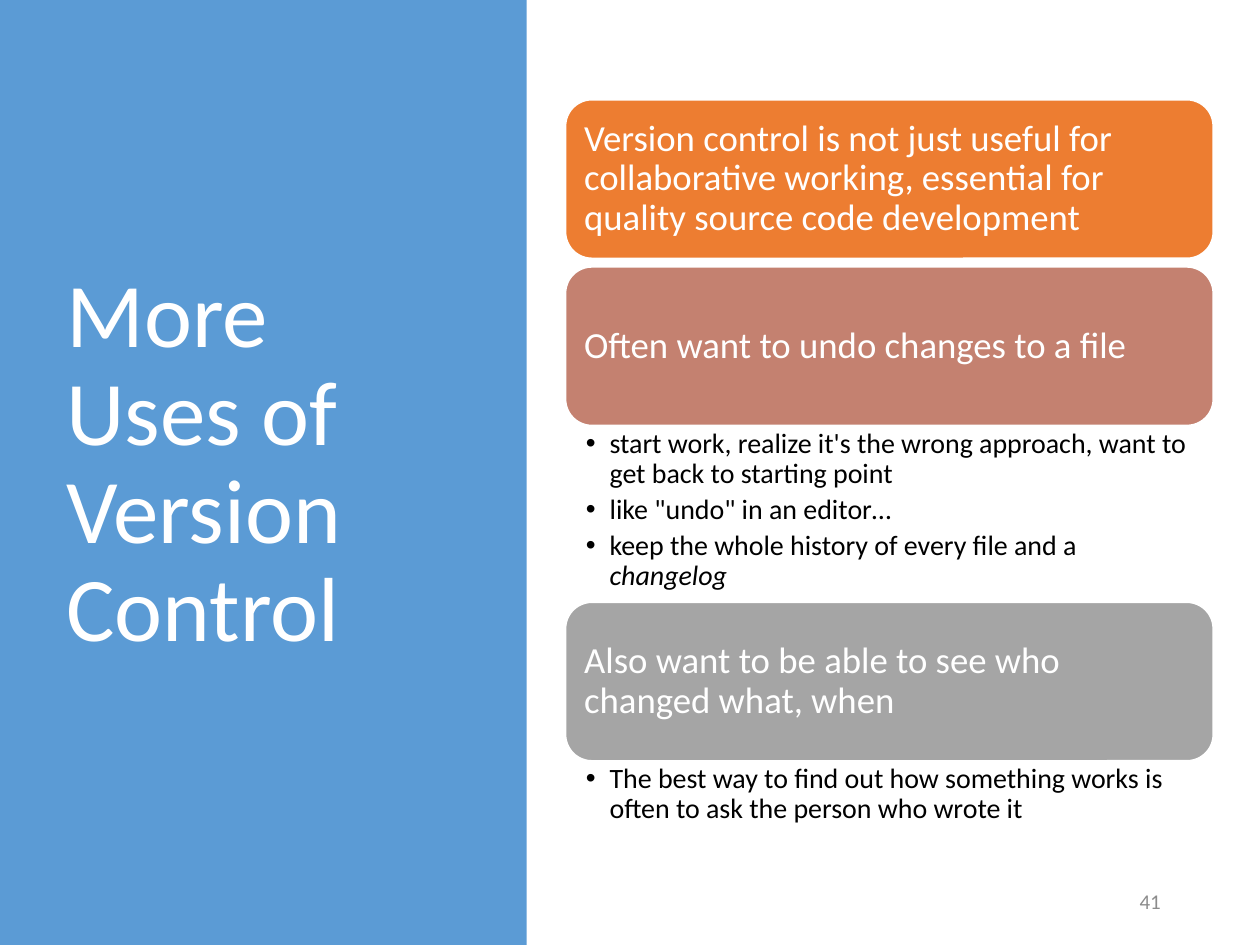
from dataclasses import dataclass

from lxml.etree import SubElement
from pptx import Presentation
from pptx.dml.color import RGBColor as RGB
from pptx.enum.shapes import MSO_SHAPE as SHAPE
from pptx.enum.text import MSO_ANCHOR as ANCHOR, PP_ALIGN as ALIGN
from pptx.oxml.ns import qn
from pptx.util import Cm, Pt


@dataclass(frozen=True)
class Theme:
    """Colours, font and type sizes of the slide."""
    font: str = "Calibri"
    panel: RGB = RGB(0x5B, 0x9B, 0xD5)
    orange: RGB = RGB(0xED, 0x7D, 0x31)
    rose: RGB = RGB(0xC4, 0x81, 0x70)
    grey: RGB = RGB(0xA5, 0xA5, 0xA5)
    white: RGB = RGB(0xFF, 0xFF, 0xFF)
    black: RGB = RGB(0, 0, 0)
    muted: RGB = RGB(0x8C, 0x8C, 0x8C)
    title: float = 52
    card: float = 21
    bullet: float = 16
    number: float = 12


THEME = Theme()
LEFT, WIDTH, CARD_HEIGHT, GAP, FIRST_TOP = 11.4, 13.06, 3.2, 0.17, 2.01
SECTIONS = [
    ("Version control is not just useful for collaborative working, "
     "essential for quality source code development", THEME.orange, [], GAP),
    ("Often want to undo changes to a file", THEME.rose,
     [["start work, realize it's the wrong approach, want to get back to starting point"],
      ['like "undo" in an editor…'],
      ["keep the whole history of every file and a ", "changelog"]], 3.56),
    ("Also want to be able to see who changed what, when", THEME.grey,
     [["The best way to find out how something works is often to ask "
       "the person who wrote it"]], 1.4),
]


def style_run(r, size, color):
    """Set the font, size and colour of a run."""
    r.font.name = THEME.font
    r.font.size = Pt(size)
    r.font.color.rgb = color


def set_text(sp, text, size, color, align=ALIGN.LEFT, spacing=0.9):
    """Write one vertically centred paragraph into a shape."""
    tf = sp.text_frame
    tf.word_wrap = True
    tf.vertical_anchor = ANCHOR.MIDDLE
    tf.text = text
    p = tf.paragraphs[0]
    p.alignment = align
    p.line_spacing = spacing
    style_run(p.runs[0], size, color)


def set_insets(tf, x, y):
    """Set equal horizontal and equal vertical text margins."""
    tf.margin_left = tf.margin_right = Cm(x)
    tf.margin_top = tf.margin_bottom = Cm(y)


def add_block(s, kind, left, top, width, height, fill):
    """Add a filled shape without line or shadow."""
    sp = s.shapes.add_shape(kind, Cm(left), Cm(top), Cm(width), Cm(height))
    sp.shadow.inherit = False
    sp.fill.solid()
    sp.fill.fore_color.rgb = fill
    sp.line.fill.background()
    return sp


def add_label(s, left, top, width, height, *text, **options):
    """Add a text box with one paragraph."""
    sp = s.shapes.add_textbox(Cm(left), Cm(top), Cm(width), Cm(height))
    set_text(sp, *text, **options)


def add_card(s, top, text, fill):
    """Add a rounded card with its statement."""
    sp = add_block(s, SHAPE.ROUNDED_RECTANGLE, LEFT, top, WIDTH, CARD_HEIGHT, fill)
    sp.line.color.rgb = THEME.white
    sp.line.width = Pt(1)
    set_text(sp, text, THEME.card, THEME.white)
    set_insets(sp.text_frame, 0.22, 0.22)


def add_bullets(s, top, height, items):
    """Add a bulleted list whose second runs are italic."""
    sp = s.shapes.add_textbox(Cm(LEFT), Cm(top), Cm(WIDTH), Cm(height))
    tf = sp.text_frame
    tf.word_wrap = True
    set_insets(tf, 0.41, 0.07)
    for i, parts in enumerate(items):
        p = tf.add_paragraph() if i else tf.paragraphs[0]
        p.level = 1
        p.line_spacing = 0.9
        p.space_after = Pt(3.4)
        pPr = p._p.get_or_add_pPr()
        pPr.set("marL", str(Cm(0.48)))
        pPr.set("indent", str(-Cm(0.48)))
        SubElement(pPr, qn("a:buFont"), typeface="Arial")
        SubElement(pPr, qn("a:buChar"), char="•")
        for j, part in enumerate(parts):
            r = p.add_run()
            r.text = part
            style_run(r, THEME.bullet, THEME.black)
            if j:
                r.font.italic = True


def main():
    """Build the slide and save it."""
    prs = Presentation()
    prs.slide_width, prs.slide_height = Cm(25.4), Cm(19.05)
    s = prs.slides.add_slide(prs.slide_layouts[6])
    add_block(s, SHAPE.RECTANGLE, 0, 0, 10.62, 19.05, THEME.panel)
    add_label(s, 1.09, 1.73, 7.92, 15.29, "More Uses of Version Control",
              THEME.title, THEME.white)
    add_label(s, 17.93, 17.65, 5.72, 1.02, "41", THEME.number, THEME.muted,
              align=ALIGN.RIGHT, spacing=1.0)
    top = FIRST_TOP
    for text, fill, items, space in SECTIONS:
        add_card(s, top, text, fill)
        top += CARD_HEIGHT
        if items:
            add_bullets(s, top, space, items)
        top += space
    prs.save("out.pptx")


if __name__ == "__main__":
    main()
